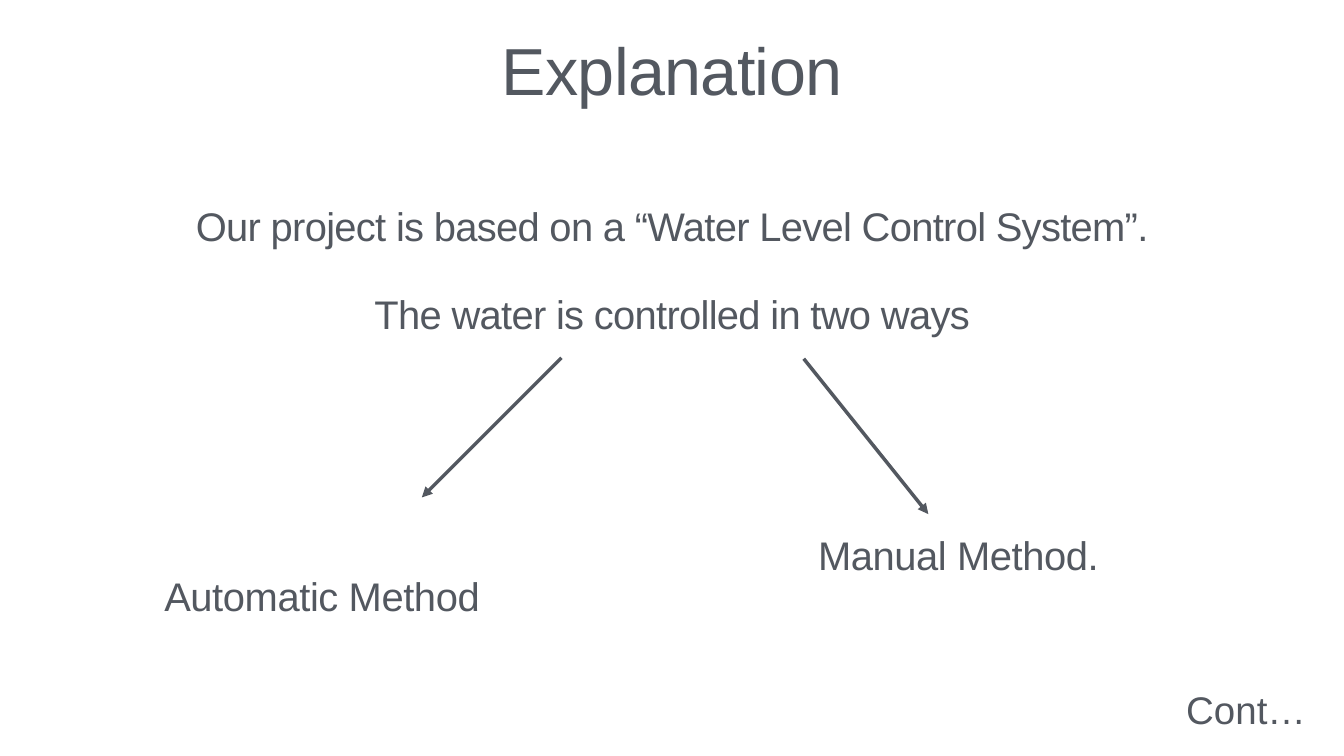
from pptx import Presentation
from pptx.dml.color import RGBColor as RGB
from pptx.enum.shapes import MSO_CONNECTOR as Link
from pptx.enum.text import MSO_ANCHOR as Anchor, MSO_AUTO_SIZE as Fit, PP_ALIGN as Align
from pptx.oxml.ns import qn
from pptx.util import Cm, Pt
from lxml.etree import SubElement as Sub

HUES = {"ink": "535860", "page": "FFFFFF"}
INK = RGB.from_string(HUES["ink"])
PAD = 0.15


def apply(item, vals):
    for key, val in vals.items():
        setattr(item, key, val)


def place(shape, left, top, width, height):
    apply(shape, {"left": Cm(left), "top": Cm(top),
                  "width": Cm(width), "height": Cm(height)})


def write(shape, lines, size, align, track=0, lead=0.9, gap=0,
          anchor=Anchor.TOP, start=PAD, base=PAD):
    frame = shape.text_frame
    apply(frame, {"word_wrap": True, "auto_size": Fit.NONE,
                  "vertical_anchor": anchor,
                  "margin_left": Cm(start), "margin_right": Cm(PAD),
                  "margin_top": Cm(PAD), "margin_bottom": Cm(base)})
    for i, line in enumerate(lines):
        para = frame.add_paragraph() if i else frame.paragraphs[0]
        apply(para, {"alignment": align, "line_spacing": lead,
                     "space_before": Pt(gap if i else 0), "space_after": Pt(0)})
        run = para.add_run()
        run.text = line
        apply(run.font, {"name": "Arial", "size": Pt(size), "bold": False})
        run.font.color.rgb = INK
        if track:
            run.font._element.set("spc", str(track))


def plain(shape):
    for para in shape.text_frame.paragraphs:
        props = para._p.get_or_add_pPr()
        props.set("marL", "0")
        props.set("indent", "0")
        Sub(props, qn("a:buNone"))


def label(slide, box, text, size, align, **form):
    shape = slide.shapes.add_textbox(*map(Cm, box))
    write(shape, [text], size, align, **form)


def arrow(slide, *ends):
    link = slide.shapes.add_connector(Link.STRAIGHT, *map(Cm, ends))
    link.line.color.rgb = INK
    link.line.width = Pt(5)
    Sub(link.line._get_or_add_ln(), qn("a:tailEnd"), type="triangle")
    Sub(link._element.spPr, qn("a:effectLst"))


def main():
    deck = Presentation()
    apply(deck, {"slide_width": Cm(67.74), "slide_height": Cm(38.1)})
    slide = deck.slides.add_slide(deck.slide_layouts[1])
    fill = slide.background.fill
    fill.solid()
    fill.fore_color.rgb = RGB.from_string(HUES["page"])

    title, body = slide.placeholders
    place(title, 3.35, 1.75, 61.04, 4.7)
    write(title, ["Explanation"], 95, Align.CENTER, track=-100)
    place(body, 3.35, 10.26, 61.04, 10.39)
    write(body, ["Our project is based on a “Water Level Control System”.",
                 "The water is controlled in two ways"],
          57, Align.CENTER, track=-100, gap=65)
    plain(body)

    arrow(slide, 28.3, 18.03, 21.26, 25.07)
    arrow(slide, 40.51, 18.08, 46.79, 25.91)

    way = {"size": 57, "align": Align.LEFT, "track": -60, "anchor": Anchor.BOTTOM}
    label(slide, (8.13, 22.96, 22.02, 10.06), "Automatic Method", base=1.75, **way)
    label(slide, (40.67, 19.81, 15.6, 10.06), "Manual Method.",
          start=0.56, base=0.66, **way)
    label(slide, (4.93, 34.44, 61.04, 2.79), "Cont…", 55, Align.RIGHT, lead=1.0)
    deck.save("out.pptx")


if __name__ == "__main__":
    main()
